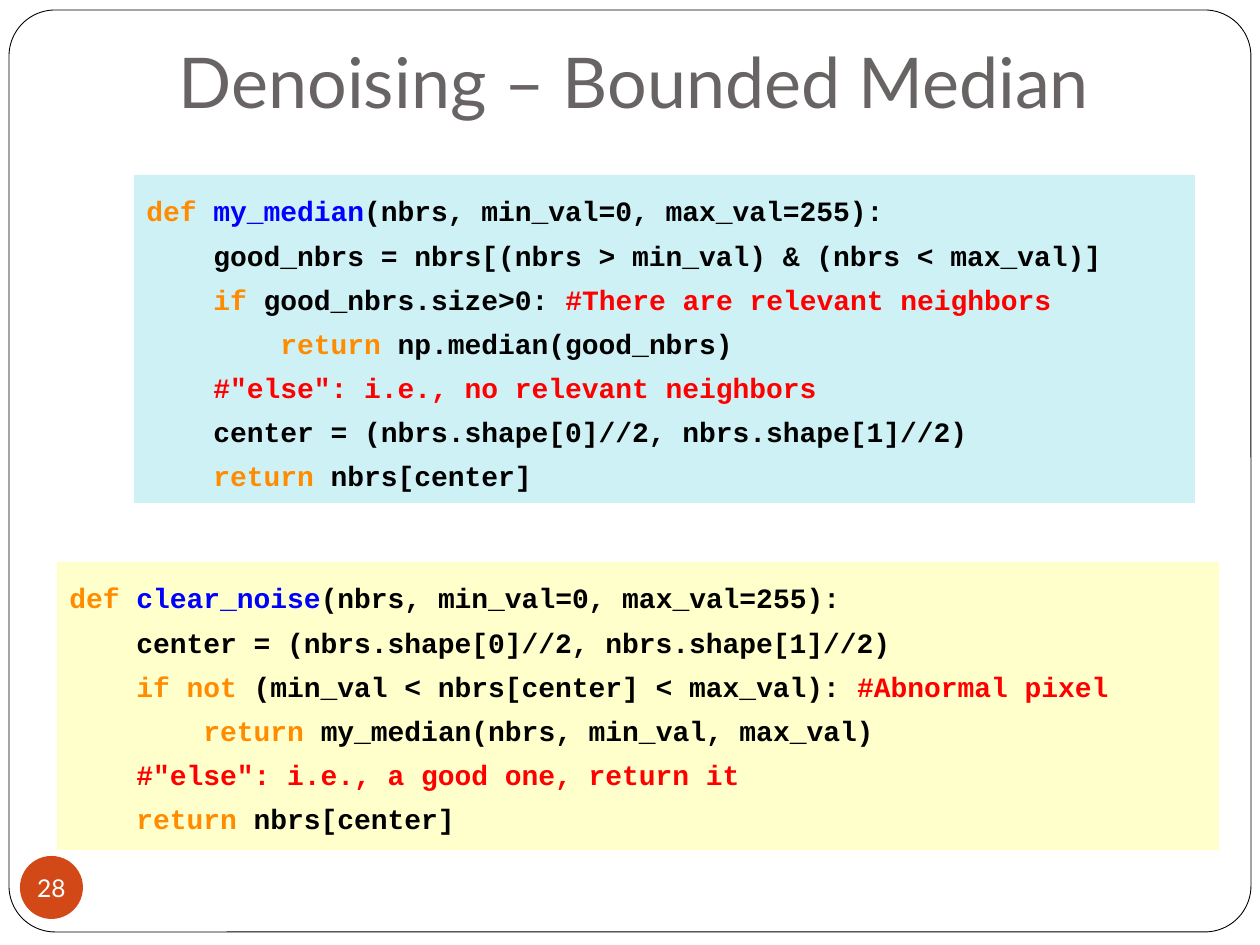
from pptx import Presentation, util as u
from pptx.dml.color import RGBColor
from pptx.enum import shapes, text

BLACK, WHITE, ORANGE, BLUE, RED = "000000", "FFFFFF", "FF8C00", "0000FF", "FF0000"


def px(length):
    """Turn pixels, 126 to the inch, into EMU."""
    return u.Inches(length / 126)


def style(font, name, size, color, bold=False):
    font.name, font.size, font.bold = name, u.Pt(size), bold
    font.color.rgb = RGBColor.from_string(color)


prs = Presentation()
prs.slide_width, prs.slide_height = px(1260), px(945)
slide = prs.slides.add_slide(prs.slide_layouts[6])

# Page frame
frame = slide.shapes.add_shape(
    shapes.MSO_SHAPE.ROUNDED_RECTANGLE, px(9), px(10), px(1242), px(922))
frame.adjustments[0] = 0.05
frame.shadow.inherit = False
frame.fill.solid()
frame.fill.fore_color.rgb = RGBColor.from_string(WHITE)
frame.line.color.rgb = RGBColor.from_string(BLACK)
frame.line.width = u.Pt(0.5)

# Title
title = slide.shapes.add_textbox(px(154), px(26), px(1071), px(110)).text_frame
title.word_wrap = True
title.vertical_anchor = text.MSO_ANCHOR.BOTTOM
title.margin_left, title.margin_bottom = px(25), px(13)
title.text = "Denoising – Bounded Median"
style(title.paragraphs[0].runs[0].font, "Lato", 40, "696464")

# Slide number
badge = slide.shapes.add_shape(shapes.MSO_SHAPE.OVAL, px(20), px(856), px(63), px(63))
badge.shadow.inherit = False
badge.fill.solid()
badge.fill.fore_color.rgb = RGBColor.from_string("D34817")
badge.line.fill.background()
number = badge.text_frame
number.margin_left = number.margin_right = number.margin_top = number.margin_bottom = 0
number.word_wrap = False
number.vertical_anchor = text.MSO_ANCHOR.MIDDLE
number.text = "28"
number.paragraphs[0].alignment = text.PP_ALIGN.CENTER
style(number.paragraphs[0].runs[0].font, "Lato", 14, WHITE)

# Code listings: each line is a list of (words, color)
signature = ("(nbrs, min_val=0, max_val=255):", BLACK)
find_center = [("    center = (nbrs.shape[0]//2, nbrs.shape[1]//2)", BLACK)]
return_center = [("    return ", ORANGE), ("nbrs[center]", BLACK)]

my_median = [
    [("def ", ORANGE), ("my_median", BLUE), signature],
    [("    good_nbrs = nbrs[(nbrs > min_val) & (nbrs < max_val)]", BLACK)],
    [("    if ", ORANGE), ("good_nbrs.size>0: ", BLACK),
     ("#There are relevant neighbors", RED)],
    [("        return ", ORANGE), ("np.median(good_nbrs)", BLACK)],
    [('    #"else": i.e., no relevant neighbors', RED)],
    find_center,
    return_center,
]
clear_noise = [
    [("def ", ORANGE), ("clear_noise", BLUE), signature],
    find_center,
    [("    if not", ORANGE), (" (min_val < nbrs[center] < max_val): ", BLACK),
     ("#Abnormal pixel", RED)],
    [("        return ", ORANGE), ("my_median(nbrs, min_val, max_val)", BLACK)],
    [('    #"else": i.e., a good one, return it', RED)],
    return_center,
]

for lines, background, left, top, width, height in [
    (my_median, "CEF1F6", 134, 175, 1061, 328),
    (clear_noise, "FFFFCC", 57, 562, 1162, 288),
]:
    listing = slide.shapes.add_textbox(px(left), px(top), px(width), px(height))
    listing.fill.solid()
    listing.fill.fore_color.rgb = RGBColor.from_string(background)
    code = listing.text_frame
    code.word_wrap = True
    code.margin_top = px(19)
    for index, line in enumerate(lines):
        if index == 0:
            paragraph = code.paragraphs[0]
        else:
            paragraph = code.add_paragraph()
            paragraph.space_before = u.Pt(6)
        for words, color in line:
            run = paragraph.add_run()
            run.text = words
            style(run.font, "Courier New", 16, color, bold=True)

prs.save("out.pptx")
